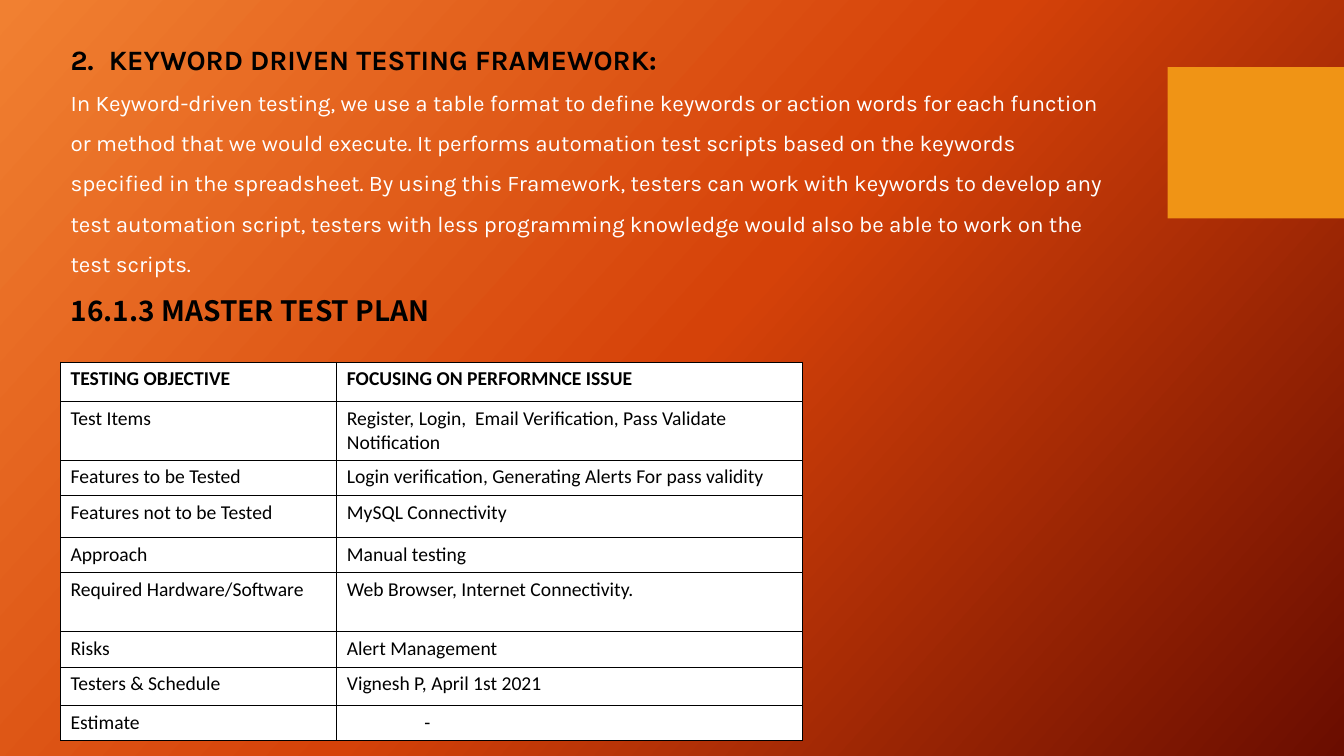
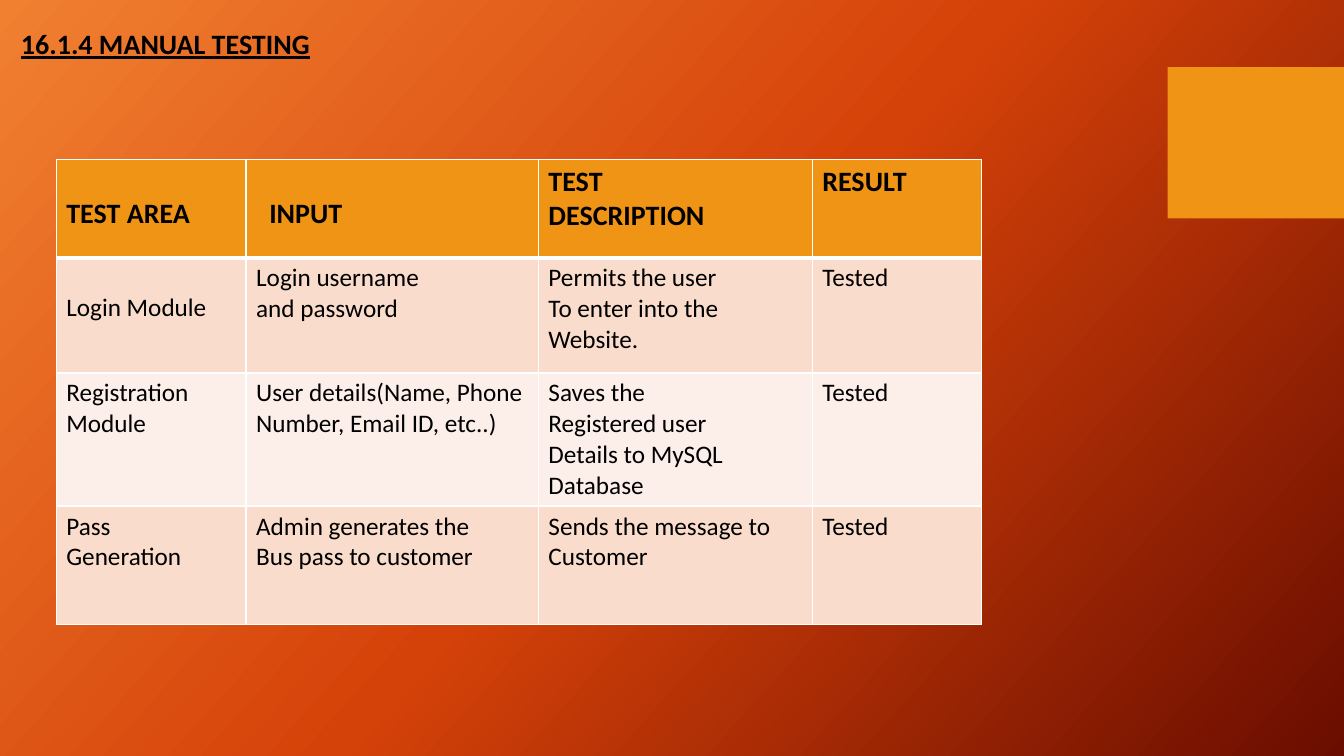
import copy

import pptx
import pptx.dml.color
import pptx.enum.shapes
import pptx.enum.text
import pptx.oxml
import pptx.oxml.ns
import pptx.util

RGBColor = pptx.dml.color.RGBColor
BLACK = RGBColor(0x00, 0x00, 0x00)
WHITE = RGBColor(0xFF, 0xFF, 0xFF)
AMBER = RGBColor(0xF0, 0x94, 0x15)
PEACH = RGBColor(0xF9, 0xDC, 0xCC)
PALE_PEACH = RGBColor(0xFC, 0xEE, 0xE8)
BACKGROUND_STOPS = [
    (0, RGBColor(0xF1, 0x80, 0x31)),
    (0.5, RGBColor(0xD5, 0x42, 0x09)),
    (1, RGBColor(0x6A, 0x0D, 0x00)),
]
TABLE_FONT = "Calibri"
HEADING_SIZE = 20

# The slide is a grid of 160 columns by 90 rows; both steps are equal.
HEIGHT = pptx.util.Inches(7.5)
STEP = HEIGHT / 90
WIDTH = round(160 * STEP)


def add_run(paragraph, text, font_name, size, color=BLACK, bold=False):
    run = paragraph.add_run()
    run.text = text
    run.font.name = font_name
    run.font.size = pptx.util.Pt(size)
    run.font.color.rgb = color
    run.font.bold = bold
    return run


def add_grid_table(slide, left, top, columns, rows, texts, sizes, fills, line, line_widths):
    """Add a table measured in grid steps.

    sizes and line_widths hold the header's value, then the body's;
    fills holds the header's colour, then the body colours in turn.
    """
    frame = slide.shapes.add_table(
        len(rows), len(columns), round(left * STEP), round(top * STEP),
        round(sum(columns) * STEP), round(sum(rows) * STEP))
    table = frame.table
    table.first_row = False
    table.horz_banding = False
    for column, width in zip(table.columns, columns):
        column.width = round(width * STEP)
    for row_index, height in enumerate(rows):
        table.rows[row_index].height = round(height * STEP)
        is_header = row_index == 0
        size = sizes[0] if is_header else sizes[1]
        for column_index, text in enumerate(texts[row_index]):
            cell = table.cell(row_index, column_index)
            properties = cell._tc.get_or_add_tcPr()
            for side in "LRTB":
                beside_header = (row_index, side) in [(0, "B"), (1, "T")]
                points = line_widths[0] if beside_header else line_widths[1]
                properties.append(pptx.oxml.parse_xml(
                    f'<a:ln{side} {pptx.oxml.ns.nsdecls("a")} w="{pptx.util.Pt(points)}">'
                    f'<a:solidFill><a:srgbClr val="{line}"/></a:solidFill></a:ln{side}>'))
            cell.fill.solid()
            cell.fill.fore_color.rgb = (
                fills[0] if is_header else fills[1 + (row_index - 1) % (len(fills) - 1)])
            cell_frame = cell.text_frame
            for line_index, line_text in enumerate(text.split("\n")):
                paragraph = cell_frame.add_paragraph() if line_index else cell_frame.paragraphs[0]
                add_run(paragraph, line_text, TABLE_FONT, size, bold=is_header)
    return table


presentation = pptx.Presentation()
presentation.slide_width = WIDTH
presentation.slide_height = HEIGHT

# Shared background
master = presentation.slide_master
background = master.background.fill
background.gradient()
background.gradient_angle = 360 - 42
first_stop = master.element.find(".//" + pptx.oxml.ns.qn("a:gs"))
first_stop.addnext(copy.deepcopy(first_stop))
for stop, (position, color) in zip(background.gradient_stops, BACKGROUND_STOPS):
    stop.position = position
    stop.color.rgb = color

plan_slide, manual_slide = [
    presentation.slides.add_slide(presentation.slide_layouts.get_by_name(layout_name))
    for layout_name in ("Title and Content", "Title Only")]

# Shared band at the right edge
for slide in presentation.slides:
    band = slide.shapes.add_shape(
        pptx.enum.shapes.MSO_SHAPE.RECTANGLE,
        round(139 * STEP), round(8 * STEP), round(21 * STEP), round(18 * STEP))
    band.shadow.inherit = False
    band.fill.solid()
    band.fill.fore_color.rgb = AMBER
    band.line.fill.background()

# Slide 1: keyword framework and master test plan
title = plan_slide.shapes.title
title.element.getparent().remove(title.element)
body = plan_slide.placeholders[1]
body.left, body.top = round(7.2 * STEP), round(2.4 * STEP)
body.width, body.height = round(125.9 * STEP), round(37.6 * STEP)
text_frame = body.text_frame
text_frame.word_wrap = True
text_frame.auto_size = pptx.enum.text.MSO_AUTO_SIZE.NONE

body_texts = [
    ("KEYWORD DRIVEN TESTING FRAMEWORK:", "Karla", HEADING_SIZE, BLACK, True),
    ("In Keyword-driven testing, we use a table format to define keywords or action words "
     "for each function or method that we would execute. It performs automation test scripts "
     "based on the keywords specified in the spreadsheet. By using this Framework, testers can "
     "work with keywords to develop any test automation script, testers with less programming "
     "knowledge would also be able to work on the test scripts.", "Karla", 16, WHITE, False),
    ("16.1.3 MASTER TEST PLAN", "Noto Sans CJK TC", HEADING_SIZE, BLACK, True),
]
for index, (text, font_name, size, color, bold) in enumerate(body_texts):
    paragraph = text_frame.add_paragraph() if index else text_frame.paragraphs[0]
    is_numbered = index == 0
    indent = pptx.util.Inches(0.38) if is_numbered else 0
    bullet = '<a:buAutoNum {} type="arabicPeriod" startAt="2"/>' if is_numbered else "<a:buNone {}/>"
    properties = paragraph._p.get_or_add_pPr()
    properties.set("marL", str(indent))
    properties.set("indent", str(-indent))
    properties.append(pptx.oxml.parse_xml(bullet.format(pptx.oxml.ns.nsdecls("a"))))
    paragraph.line_spacing = 1.5
    paragraph.space_before = pptx.util.Pt(0)
    add_run(paragraph, text, font_name, size, color, bold)

plan_texts = [
    ("TESTING OBJECTIVE", "FOCUSING ON PERFORMNCE ISSUE"),
    ("Test Items", "Register, Login,  Email Verification, Pass Validate Notification"),
    ("Features to be Tested", "Login verification, Generating Alerts For pass validity"),
    ("Features not to be Tested", "MySQL Connectivity"),
    ("Approach", "Manual testing"),
    ("Required Hardware/Software", "Web Browser, Internet Connectivity."),
    ("Risks", "Alert Management"),
    ("Testers & Schedule", "Vignesh P, April 1st 2021"),
    ("Estimate", "-"),
]
plan_table = add_grid_table(
    plan_slide, 7.2, 43.1, [32.9, 55.4], [4.7, 7, 4.2, 5, 4.2, 7, 4.2, 4.6, 4.2],
    plan_texts, sizes=(14, 14), fills=[WHITE, WHITE], line=BLACK, line_widths=(0.5, 0.5))
plan_table.cell(8, 1).margin_left = pptx.util.Inches(0.87)

# Slide 2: manual testing
title = manual_slide.shapes.title
title.left, title.top = round(1.3 * STEP), round(1.2 * STEP)
title.width, title.height = round(128.6 * STEP), round(8.5 * STEP)
title.text_frame.auto_size = pptx.enum.text.MSO_AUTO_SIZE.NONE
title.text_frame.vertical_anchor = pptx.enum.text.MSO_ANCHOR.MIDDLE
paragraph = title.text_frame.paragraphs[0]
paragraph.alignment = pptx.enum.text.PP_ALIGN.LEFT
paragraph.line_spacing = 0.9
heading = add_run(paragraph, "16.1.4 MANUAL TESTING", TABLE_FONT, HEADING_SIZE, bold=True)
heading.font.underline = True

manual_texts = [
    ("TEST AREA", "INPUT", "TEST\nDESCRIPTION", "RESULT"),
    ("Login Module", "Login username\nand password",
     "Permits the user\nTo enter into the\nWebsite.", "Tested"),
    ("Registration\nModule", "User details(Name, Phone\nNumber, Email ID, etc..)",
     "Saves the\nRegistered user\nDetails to MySQL Database", "Tested"),
    ("Pass\nGeneration", "Admin generates the\nBus pass to customer",
     "Sends the message to\nCustomer", "Tested"),
]
manual_table = add_grid_table(
    manual_slide, 6.7, 19, [22.6, 34.8, 32.6, 20.2], [11.7, 13.7, 15.8, 14.1],
    manual_texts, sizes=(HEADING_SIZE, 18), fills=[AMBER, PEACH, PALE_PEACH],
    line=WHITE, line_widths=(3, 1))
for row_index, column_index, margin in [(0, 0, 0.37), (0, 1, 0.37), (1, 0, 0.34)]:
    manual_table.cell(row_index, column_index).margin_top = pptx.util.Inches(margin)
manual_table.cell(0, 1).margin_left = pptx.util.Inches(0.23)

presentation.save("out.pptx")
